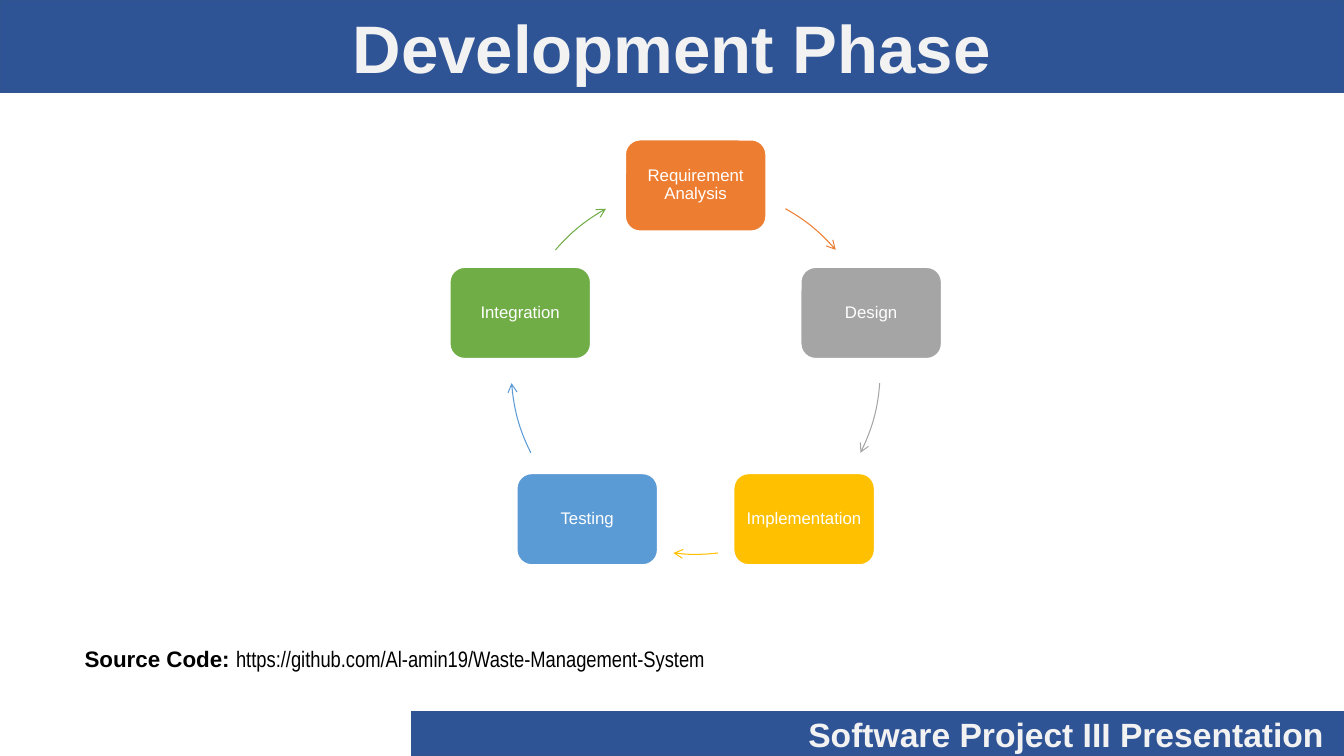
import math
from dataclasses import dataclass

import pptx
import pptx.util
import pptx.dml.color
import pptx.enum.shapes
import pptx.enum.text
import pptx.oxml
import pptx.oxml.ns

Inches = pptx.util.Inches
Pt = pptx.util.Pt
Shape = pptx.enum.shapes.MSO_SHAPE
Align = pptx.enum.text.PP_ALIGN
Anchor = pptx.enum.text.MSO_ANCHOR


@dataclass(frozen=True)
class Theme:
    bar: str = "2F5496"
    edge: str = "31538F"
    pale: str = "F2F2F2"
    white: str = "FFFFFF"
    ink: str = "000000"
    font: str = "Arial"
    thin: str = "Arial Narrow"
    title: int = 48
    foot: int = 24
    note: int = 16
    step: int = 12


THEME = Theme()

# Ring of steps: label, colour, start and end angle of the arrow after it
STEPS = [
    ("Requirement Analysis", "ED7D31", 299.1, 319.4),
    ("Design", "A5A5A5", 4.1, 26.7),
    ("Implementation", "FFC000", 83.1, 96.9),
    ("Testing", "5B9BD5", 153.3, 175.9),
    ("Integration", "70AD47", 220.6, 240.9),
]
MID_X, MID_Y, RADIUS = 6.9, 3.67, 1.83
BOX_W, BOX_H = 1.41, 0.92


def color(code):
    return pptx.dml.color.RGBColor.from_string(code)


def style(font, size, code, bold=False, name=THEME.font):
    font.name = name
    font.size = Pt(size)
    font.bold = bold
    font.color.rgb = color(code)


def add_shape(slide, kind, left, top, width, height, line, weight):
    shape = slide.shapes.add_shape(
        kind, Inches(left), Inches(top), Inches(width), Inches(height))
    shape.shadow.inherit = False
    shape.line.color.rgb = color(line)
    shape.line.width = Pt(weight)
    return shape


def set_text(shape, text, size, code, bold=False, align=Align.CENTER):
    frame = shape.text_frame
    frame.word_wrap = True
    frame.vertical_anchor = Anchor.MIDDLE
    para = frame.paragraphs[0]
    para.text = text
    para.alignment = align
    style(para.font, size, code, bold)
    return frame


def add_bar(slide, left, top, width, height, text, size, align):
    bar = add_shape(slide, Shape.RECTANGLE, left, top, width, height,
                    THEME.edge, 1)
    bar.fill.solid()
    bar.fill.fore_color.rgb = color(THEME.bar)
    return set_text(bar, text, size, THEME.pale, True, align)


def add_step(slide, index, label, code):
    turn = math.radians(72 * index - 90)
    left = MID_X + RADIUS * math.cos(turn) - BOX_W / 2
    top = MID_Y + RADIUS * math.sin(turn) - BOX_H / 2
    box = add_shape(slide, Shape.ROUNDED_RECTANGLE, left, top, BOX_W, BOX_H,
                    THEME.white, 2)
    box.fill.solid()
    box.fill.fore_color.rgb = color(code)
    frame = set_text(box, label, THEME.step, THEME.white)
    frame.margin_left = frame.margin_right = Inches(0.05)
    frame.paragraphs[0].line_spacing = 0.9


def add_arc(slide, code, start, end):
    arc = add_shape(slide, Shape.ARC, MID_X - RADIUS, MID_Y - RADIUS,
                    2 * RADIUS, 2 * RADIUS, code, 0.75)
    arc.fill.background()
    # Angles are stored in 60000ths of a degree, adjustments in 100000ths
    arc.adjustments[0] = start * 0.6
    arc.adjustments[1] = end * 0.6
    space = pptx.oxml.ns.nsdecls("a")
    head = pptx.oxml.parse_xml(f'<a:tailEnd {space} type="arrow"/>')
    arc.line._get_or_add_ln().append(head)


def add_link(slide, label, address):
    box = slide.shapes.add_textbox(
        Inches(0.74), Inches(6.35), Inches(10.02), Inches(0.37))
    frame = box.text_frame
    frame.word_wrap = True
    frame.auto_size = pptx.enum.text.MSO_AUTO_SIZE.SHAPE_TO_FIT_TEXT
    para = frame.paragraphs[0]
    for text, bold, name in ((label, True, THEME.font),
                             (address, False, THEME.thin)):
        run = para.add_run()
        run.text = text
        style(run.font, THEME.note, THEME.ink, bold, name)


def main():
    deck = pptx.Presentation()
    deck.slide_width = Inches(13.33)
    deck.slide_height = Inches(7.5)
    slide = deck.slides.add_slide(deck.slide_layouts[6])

    # Footer and title bars
    foot = add_bar(slide, 4.08, 7.06, 9.25, 0.44,
                   "Software Project III Presentation", THEME.foot,
                   Align.RIGHT)
    foot.margin_right = Inches(0.2)
    add_bar(slide, 0, 0, 13.33, 0.92, "Development Phase", THEME.title,
            Align.CENTER)

    # Cycle of steps
    for index, (label, code, start, end) in enumerate(STEPS):
        add_step(slide, index, label, code)
        add_arc(slide, code, start, end)

    # Source line
    add_link(slide, "Source Code: ",
             "https://github.com/Al-amin19/Waste-Management-System")
    deck.save("out.pptx")


if __name__ == "__main__":
    main()
